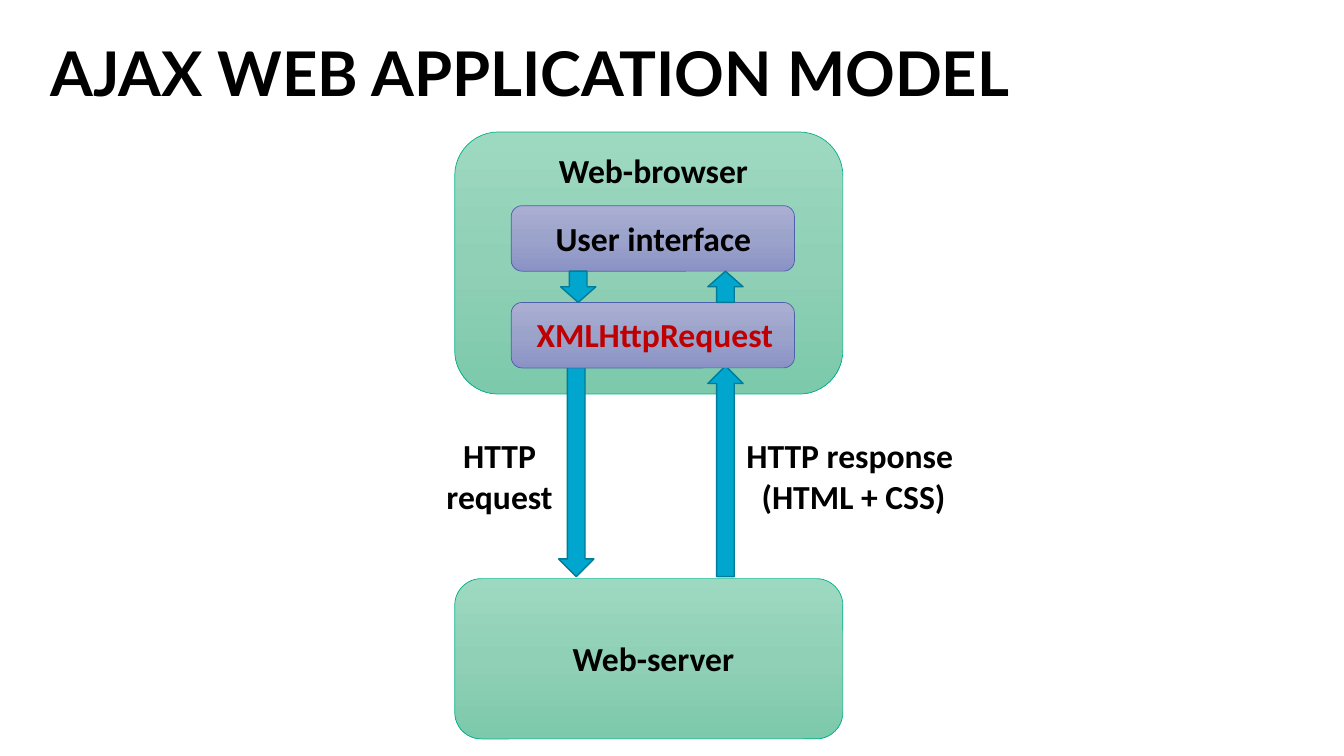
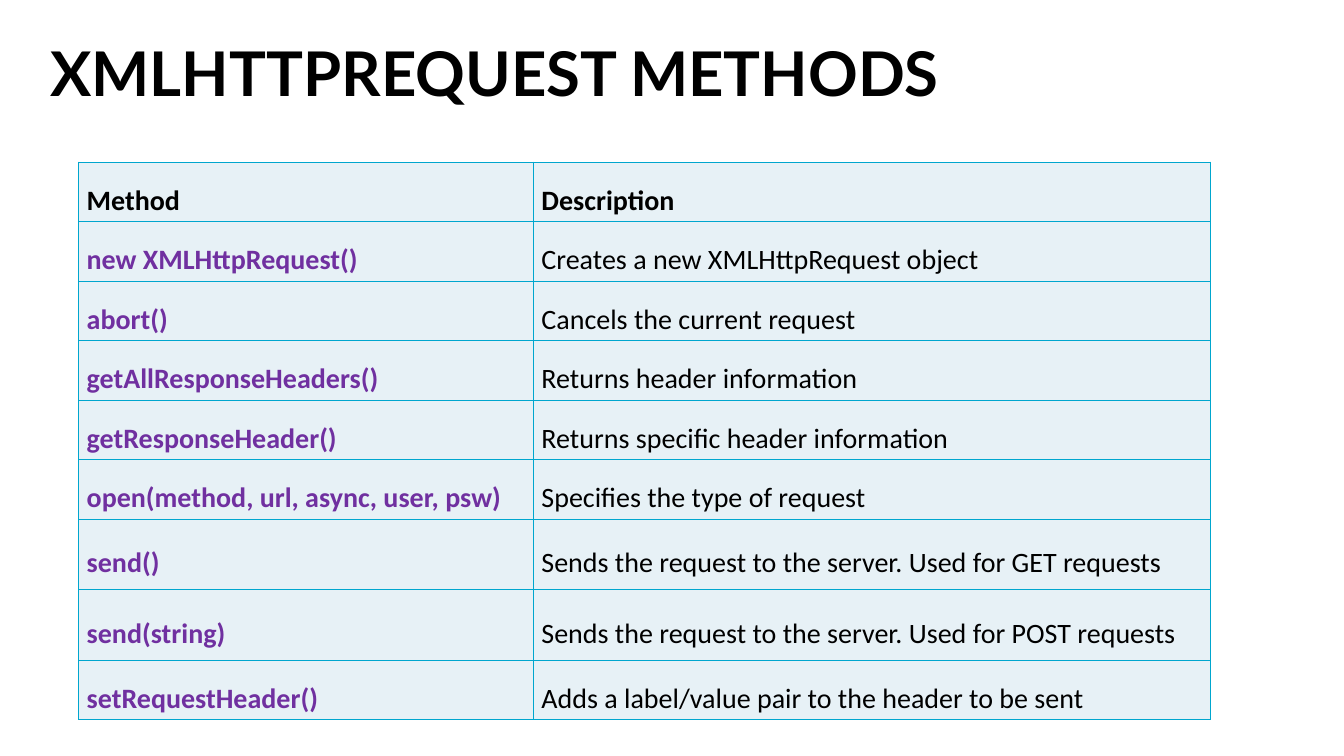
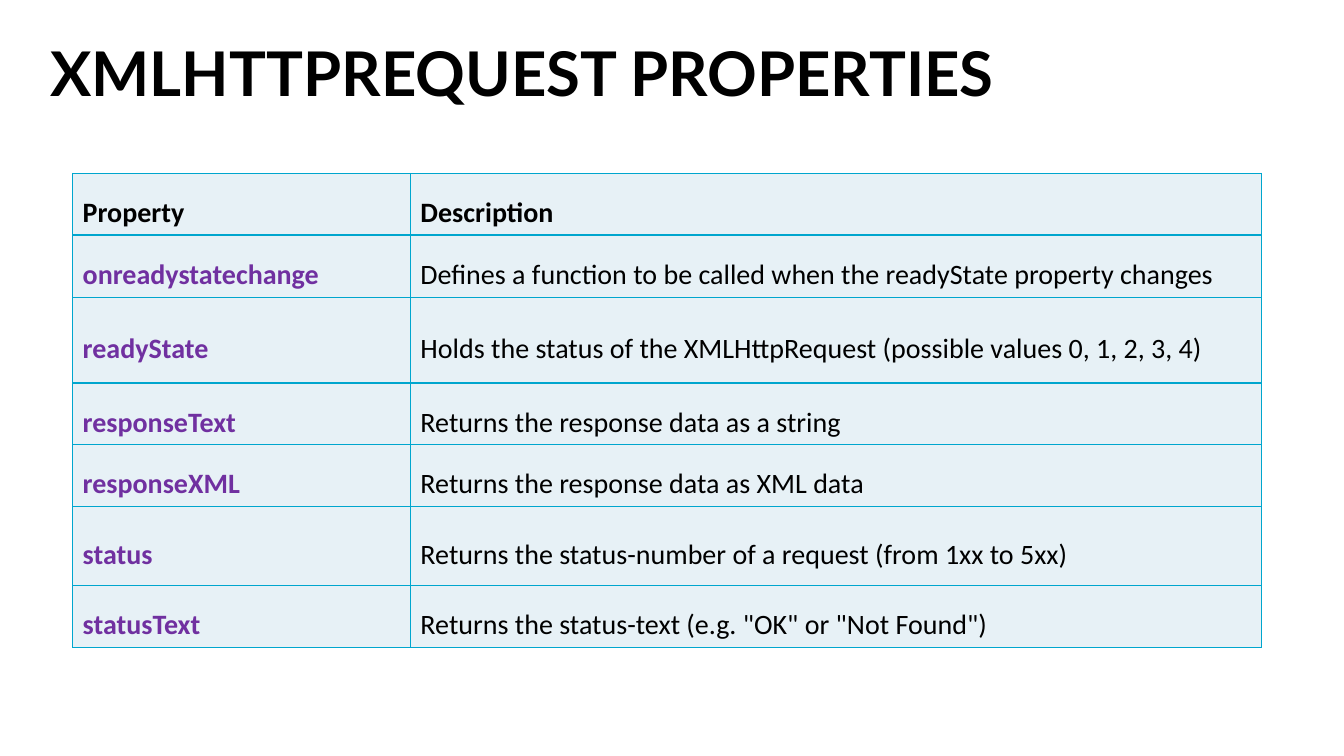
from copy import deepcopy

from lxml import etree
from pptx import Presentation
from pptx.dml.color import RGBColor
from pptx.enum.shapes import MSO_SHAPE
from pptx.enum.text import MSO_ANCHOR, MSO_AUTO_SIZE, PP_ALIGN
from pptx.oxml.ns import qn
from pptx.util import Emu, Pt

ROUNDED = MSO_SHAPE.ROUNDED_RECTANGLE
DOWN = MSO_SHAPE.DOWN_ARROW
UP = MSO_SHAPE.UP_ARROW
LEFT = PP_ALIGN.LEFT
CENTER = PP_ALIGN.CENTER
TOP = MSO_ANCHOR.TOP
MIDDLE = MSO_ANCHOR.MIDDLE
NO_FIT = MSO_AUTO_SIZE.NONE
GROW = MSO_AUTO_SIZE.SHAPE_TO_FIT_TEXT

SCALE = 9144
PAGE_SIZE = (1333, 750)
TITLE_BOX = (40, 38, 1265, 58)
TITLE_FONT = "Lato"
BODY_FONT = "Calibri"
BLACK = "000000"
RED = "C00000"
PURPLE = "7030A0"
CYAN = "00A6CE"
CELL_FILL = "E7F1F6"

STYLES = {
    "host": (["9DD9C1", "90D0B6", "7CC9AC"], "00B188", 0.5),
    "module": (["AAAFD2", "9CA3CB", "8B93C6"], "4E5FAB", 0.5),
    "arrow": ([CYAN], "007B98", 1),
}

MODEL_TITLE = "AJAX WEB APPLICATION MODEL"
MODEL_PARTS = [
    ("host", ROUNDED, (451, 131, 385, 260)),
    ("host", ROUNDED, (451, 574, 385, 159)),
    ("label", ["Web-browser"], BLACK, (529, 144, 238, 50)),
    ("label", ["Web-server"], BLACK, (529, 628, 238, 50)),
    ("module", ROUNDED, (507, 204, 281, 65)),
    ("label", ["User interface"], BLACK, (529, 211, 238, 50)),
    ("arrow", DOWN, (554, 363, 35, 209)),
    ("arrow", UP, (702, 363, 35, 209)),
    ("label", ["HTTP", "request"], BLACK, (417, 427, 157, 91)),
    ("module", ROUNDED, (507, 300, 281, 65)),
    ("label", ["XMLHttpRequest"], RED, (520, 307, 259, 50)),
    ("arrow", DOWN, (556, 269, 35, 31)),
    ("arrow", UP, (702, 269, 35, 31)),
    ("label", ["HTTP response ", "(HTML + CSS)"], BLACK, (729, 427, 235, 91)),
]

TABLES = [
    {
        "title": "XMLHTTPREQUEST METHODS",
        "place": (78, 161, 1124, 515),
        "columns": [451, 672],
        "heights": [40, 40, 40, 47, 40, 55, 70, 70, 40],
        "insets": (8, 4),
        "rows": [
            ("Method", "Description"),
            ("new XMLHttpRequest()", "Creates a new XMLHttpRequest object"),
            ("abort()", "Cancels the current request"),
            ("getAllResponseHeaders()", "Returns header information"),
            ("getResponseHeader()", "Returns specific header information"),
            ("open(method, url, async, user, psw)", "Specifies the type of request"),
            ("send()", "Sends the request to the server. Used for GET requests"),
            ("send(string)", "Sends the request to the server. Used for POST requests"),
            ("setRequestHeader()", "Adds a label/value pair to the header to be sent"),
        ],
    },
    {
        "title": "XMLHTTPREQUEST PROPERTIES",
        "place": (72, 172, 1179, 446),
        "columns": [335, 844],
        "heights": [31, 62, 85, 46, 39, 79, 48],
        "insets": (10, 5),
        "rows": [
            ("Property", "Description"),
            ("onreadystatechange", "Defines a function to be called when the readyState property changes"),
            ("readyState", "Holds the status of the XMLHttpRequest (possible values 0, 1, 2, 3, 4)"),
            ("responseText", "Returns the response data as a string"),
            ("responseXML", "Returns the response data as XML data"),
            ("status", "Returns the status-number of a request (from 1xx to 5xx)"),
            ("statusText", 'Returns the status-text (e.g. "OK" or "Not Found")'),
        ],
    },
]


def px(length):
    return Emu(length * SCALE)


def place_at(place):
    return [px(length) for length in place]


def rgb(color):
    return RGBColor.from_string(color)


def write(para, text, size, color, font=BODY_FONT, bold=True, align=LEFT, spacing=1.0):
    para.alignment = align
    para.line_spacing = spacing
    span = para.add_run()
    span.text = text
    span.font.name = font
    span.font.size = Pt(size)
    span.font.bold = bold
    span.font.color.rgb = rgb(color)


def add_page(deck, title):
    page = deck.slides.add_slide(deck.slide_layouts[5])
    box = page.shapes.title
    box.left, box.top, box.width, box.height = place_at(TITLE_BOX)
    frame = box.text_frame
    frame.auto_size = NO_FIT
    frame.vertical_anchor = TOP
    write(frame.paragraphs[0], title, 44, BLACK, font=TITLE_FONT, spacing=0.9)
    return page


def paint(shape, colors):
    fill = shape.fill
    if len(colors) == 1:
        fill.solid()
        fill.fore_color.rgb = rgb(colors[0])
        return
    fill.gradient()
    fill.gradient_angle = 270
    stop_list = shape.element.spPr.find(qn("a:gradFill")).find(qn("a:gsLst"))
    stop_list.insert(1, deepcopy(stop_list[0]))
    for index, (stop, color) in enumerate(zip(fill.gradient_stops, colors)):
        stop.position = index / (len(colors) - 1)
        stop.color.rgb = rgb(color)


def add_part(page, style, preset, place):
    colors, line_color, line_width = STYLES[style]
    shape = page.shapes.add_shape(preset, *place_at(place))
    shape.shadow.inherit = False
    paint(shape, colors)
    shape.line.color.rgb = rgb(line_color)
    shape.line.width = Pt(line_width)


def add_label(page, lines, color, place):
    frame = page.shapes.add_textbox(*place_at(place)).text_frame
    frame.word_wrap = True
    frame.auto_size = GROW
    for index, line in enumerate(lines):
        para = frame.add_paragraph() if index else frame.paragraphs[0]
        write(para, line, 24, color, align=CENTER)


def add_borders(cell):
    properties = cell._tc.get_or_add_tcPr()
    for side in ("a:lnL", "a:lnR", "a:lnT", "a:lnB"):
        line = etree.SubElement(properties, qn(side), w=str(Pt(1)))
        solid = etree.SubElement(line, qn("a:solidFill"))
        etree.SubElement(solid, qn("a:srgbClr"), val=CYAN)


def fill_cell(cell, text, color, bold, insets):
    cell.margin_left = cell.margin_right = px(insets[0])
    cell.margin_top = cell.margin_bottom = px(insets[1])
    cell.vertical_anchor = MIDDLE
    add_borders(cell)
    cell.fill.solid()
    cell.fill.fore_color.rgb = rgb(CELL_FILL)
    write(cell.text_frame.paragraphs[0], text, 20, color, bold=bold, spacing=1.5)


def add_reference_table(page, content):
    rows, columns = content["rows"], content["columns"]
    holder = page.shapes.add_table(len(rows), len(columns), *place_at(content["place"]))
    table = holder.table
    table.first_row = False
    table.horz_banding = False
    for column, width in zip(table.columns, columns):
        column.width = px(width)
    for row, height in zip(table.rows, content["heights"]):
        row.height = px(height)
    holder.height = px(content["place"][3])
    for row_index, texts in enumerate(rows):
        for column_index, text in enumerate(texts):
            is_header = row_index == 0
            is_name = column_index == 0
            color = PURPLE if is_name and not is_header else BLACK
            cell = table.cell(row_index, column_index)
            fill_cell(cell, text, color, is_header or is_name, content["insets"])


def main():
    deck = Presentation()
    deck.slide_width, deck.slide_height = place_at(PAGE_SIZE)
    page = add_page(deck, MODEL_TITLE)
    for kind, *details in MODEL_PARTS:
        if kind == "label":
            add_label(page, *details)
        else:
            add_part(page, kind, *details)
    for content in TABLES:
        add_reference_table(add_page(deck, content["title"]), content)
    deck.save("out.pptx")


if __name__ == "__main__":
    main()
